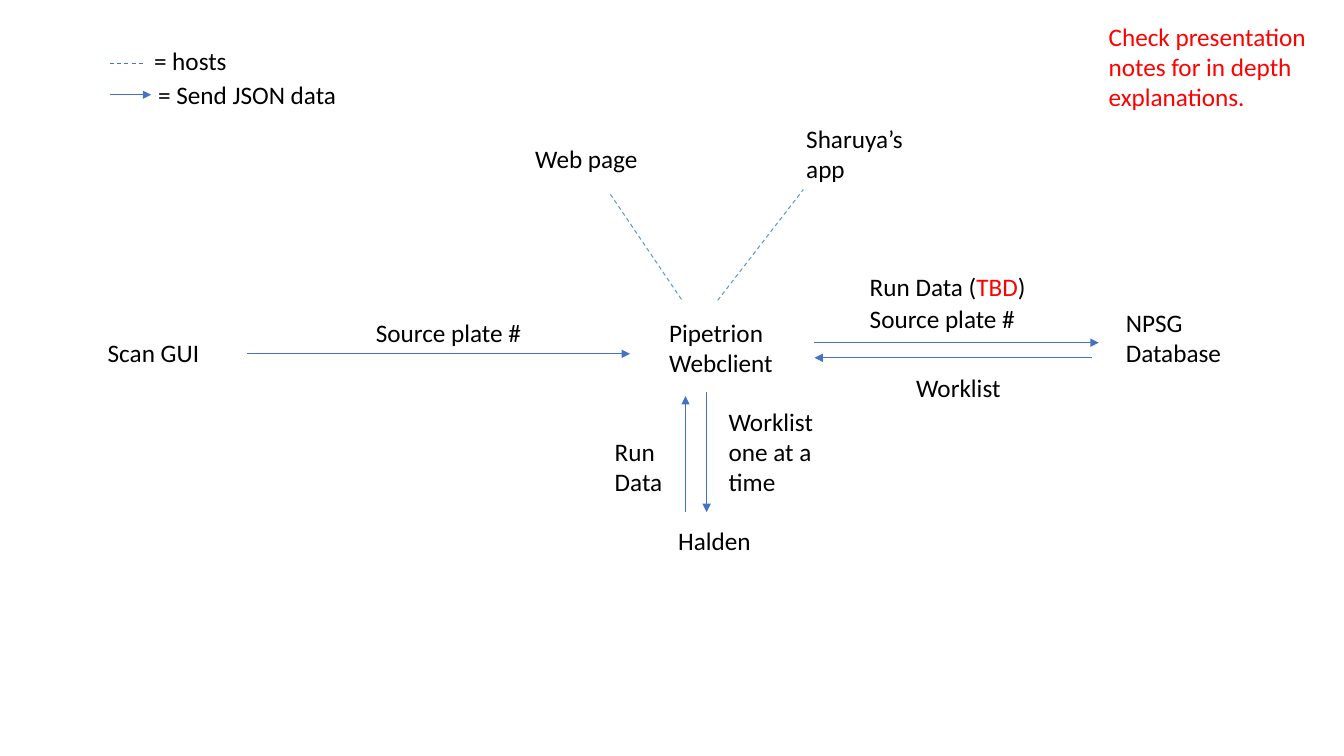
from collections import namedtuple

from lxml import etree
from pptx import Presentation, util as u
from pptx.dml.color import RGBColor
from pptx.enum import dml, shapes, text
from pptx.oxml import ns

COLUMNS, ROWS = 133.33, 75
CELL = u.Inches(0.1)
FONT = "Calibri"
BLACK, RED, BLUE, PALE_BLUE = "000000", "FF0000", "4472C4", "5B9BD5"
ONE_LINE, TWO_LINES, THREE_LINES = 4, 7.1, 10.1

# Position and size in grid cells
Box = namedtuple("Box", "x y w h")


def cells(count):
    return round(count * CELL)


def color(hex_code):
    return RGBColor.from_string(hex_code)


def add_label(slide, box, x, y, w, h, content, size=18, fill=BLACK):
    """Write content at an offset in box; content is a string or (string, colour) runs."""
    label = slide.shapes.add_textbox(cells(box.x + x), cells(box.y + y), cells(w), cells(h))
    frame = label.text_frame
    frame.word_wrap = True
    frame.auto_size = text.MSO_AUTO_SIZE.SHAPE_TO_FIT_TEXT
    runs = [(content, fill)] if isinstance(content, str) else content
    for words, run_color in runs:
        run = frame.paragraphs[0].add_run()
        run.text = words
        run.font.name = FONT
        run.font.size = u.Pt(size)
        run.font.color.rgb = color(run_color)


def add_link(slide, box, start, end, stroke=BLUE, hosts=False):
    """Join two offsets in box: dashed for hosting, an arrow for sending data."""
    (x1, y1), (x2, y2) = start, end
    link = slide.shapes.add_connector(
        shapes.MSO_CONNECTOR.STRAIGHT,
        cells(box.x + x1), cells(box.y + y1), cells(box.x + x2), cells(box.y + y2))
    link.line.color.rgb = color(stroke)
    link.line.width = u.Pt(0.75 if hosts else 0.5)
    if hosts:
        link.line.dash_style = dml.MSO_LINE.DASH
    else:
        etree.SubElement(link.line._get_or_add_ln(), ns.qn("a:tailEnd"), type="triangle")
    etree.SubElement(link._element.spPr, ns.qn("a:effectLst"))


def add_legend(slide, box):
    add_link(slide, box, (0, 2.3), (3.4, 2.3), hosts=True)
    add_label(slide, box, 3.4, 0, 13.7, ONE_LINE, "= hosts")
    add_link(slide, box, (0, 5.4), (4.1, 5.4))
    add_label(slide, box, 3.8, 3.4, 21.5, ONE_LINE, "= Send JSON data")


def add_note(slide, box):
    add_label(slide, box, 0, 0, box.w, box.h,
              "Check presentation notes for in depth explanations.", fill=RED)


def add_hosted_apps(slide, box):
    add_label(slide, box, 0, 2, 12.7, ONE_LINE, "Web page")
    add_link(slide, box, (15.5, 18), (8.4, 7.5), PALE_BLUE, hosts=True)
    add_label(slide, box, 26.9, 0, 12.7, TWO_LINES, "Sharuya’s app")
    add_link(slide, box, (19.1, 18.1), (27.6, 7.1), PALE_BLUE, hosts=True)


def add_scanner(slide, box):
    add_label(slide, box, 0, 2, 15.2, ONE_LINE, "Scan GUI")
    add_label(slide, box, 26.6, 0, 20.3, ONE_LINE, "Source plate #")
    add_link(slide, box, (14.8, 4.1), (box.w, 4.1))


def add_webclient(slide, box):
    add_label(slide, box, 0, 0, box.w, box.h, "Pipetrion Webclient")


def add_database(slide, box):
    run_data = [("Run Data (", BLACK), ("TBD", RED), (")", BLACK)]
    for row, content in enumerate((run_data, "Source plate #")):
        add_label(slide, box, 4.5, row * 3.2, 20.3, ONE_LINE, content)
    add_link(slide, box, (0, 7.6), (28.2, 7.6))
    add_link(slide, box, (27.5, 9.1), (0, 9.1))
    add_label(slide, box, 9.1, 10, 14.5, ONE_LINE, "Worklist")
    add_label(slide, box, 29.9, 3.6, 13.2, TWO_LINES, "NPSG Database")


def add_instrument(slide, box):
    add_label(slide, box, 0, 3.9, 7.2, TWO_LINES, "Run Data")
    add_link(slide, box, (8, 11.9), (8, 0.4))
    add_link(slide, box, (10.1, 0), (10.1, 11.9))
    add_label(slide, box, 11.3, 0.9, 11.5, THREE_LINES, "Worklist one at a time")
    add_label(slide, box, 6.3, 12.7, 15.7, ONE_LINE, "Halden")


def main():
    deck = Presentation()
    deck.slide_width, deck.slide_height = cells(COLUMNS), cells(ROWS)
    slide = deck.slides.add_slide(deck.slide_layouts[6])
    add_legend(slide, Box(10.9, 4, 25.3, 7.4))
    add_note(slide, Box(109, 1.6, 21.6, 13.1))
    add_hosted_apps(slide, Box(52.1, 11.7, 39.6, 18.1))
    add_scanner(slide, Box(9.7, 31, 52.8, 6))
    add_webclient(slide, Box(65.4, 31, 18.9, TWO_LINES))
    add_database(slide, Box(80.8, 26.4, 43.1, 14))
    add_instrument(slide, Box(60, 38.9, 22.8, 16.7))
    deck.save("out.pptx")


if __name__ == "__main__":
    main()
